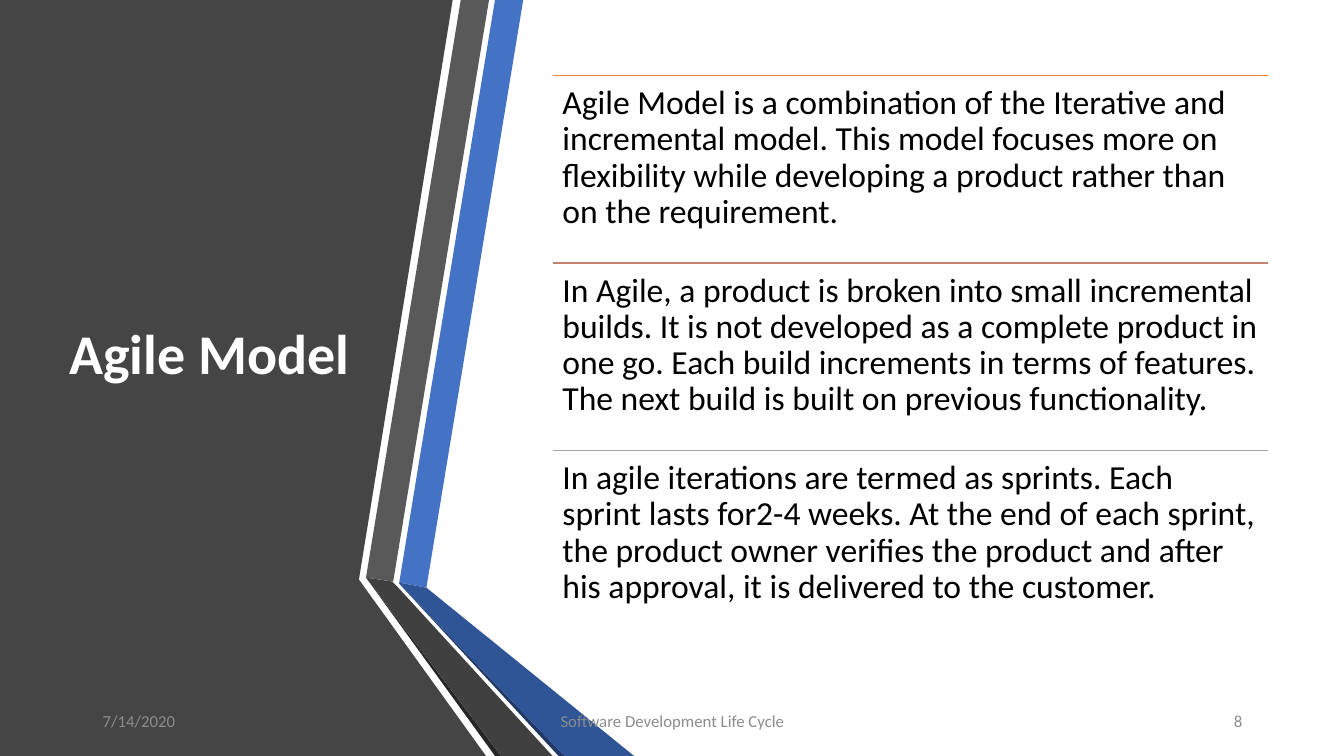
from lxml import etree
from pptx import Presentation
from pptx.dml.color import RGBColor
from pptx.enum.text import MSO_ANCHOR, MSO_AUTO_SIZE, PP_ALIGN
from pptx.oxml.ns import qn
from pptx.util import Inches, Pt

TOP, MIDDLE = MSO_ANCHOR.TOP, MSO_ANCHOR.MIDDLE
LEFT, CENTER, RIGHT = PP_ALIGN.LEFT, PP_ALIGN.CENTER, PP_ALIGN.RIGHT
FIXED = MSO_AUTO_SIZE.NONE
TITLE_ONLY = 5

COLORS = {
    "panel": "454545", "blue": "4472C4", "gray": "595959",
    "black": "262626", "navy": "203864", "deep": "2F5597",
    "dark": "404040", "white": "FFFFFF", "text": "000000",
    "foot": "8C8C8C", "orange": "ED7D31", "rose": "C48170",
    "silver": "A5A5A5",
}

BANDS = [
    ("panel", [(0, 0), (4.49, 0), (3.56, 5.75), (4.82, 7.5), (0, 7.5)]),
    ("blue", [(3.96, 5.78), (4.23, 5.83), (5.19, 0), (4.91, 0)]),
    ("gray", [(4.85, 0), (4.57, 0), (3.63, 5.73), (3.9, 5.77)]),
    ("black", [(3.63, 5.73), (4.91, 7.5), (4.97, 7.5)]),
    ("navy", [(3.96, 5.79), (5.54, 7.5), (5.6, 7.5)]),
    ("deep", [(3.96, 5.79), (5.6, 7.5), (6.29, 7.5), (4.23, 5.83),
              (3.96, 5.78)]),
    ("dark", [(5.48, 7.5), (3.95, 5.83), (3.89, 5.77), (3.63, 5.73),
              (4.97, 7.5)]),
]

POINTS = [
    ("orange", "Agile Model is a combination of the Iterative and incremental "
     "model. This model focuses more on flexibility while developing a product "
     "rather than on the requirement."),
    ("rose", "In Agile, a product is broken into small incremental builds. It "
     "is not developed as a complete product in one go. Each build increments "
     "in terms of features. The next build is built on previous functionality."),
    ("silver", "In agile iterations are termed as sprints. Each sprint lasts "
     "for2-4 weeks. At the end of each sprint, the product owner verifies the "
     "product and after his approval, it is delivered to the customer."),
]

FOOTER = [
    ("7/14/2020", 0.92, 3, LEFT),
    ("Software Development Life Cycle", 4.42, 4.5, CENTER),
    ("8", 9.42, 3, RIGHT),
]


def rgb(name):
    return RGBColor.from_string(COLORS[name])


def apply(target, values):
    for key, value in values.items():
        setattr(target, key, value)


def place(shape, left, top, width, height):
    apply(shape, {"left": Inches(left), "top": Inches(top),
                  "width": Inches(width), "height": Inches(height)})


def write(shape, text, size, color, anchor=MIDDLE, align=LEFT, bold=False,
          frame={}, para={}):
    body = shape.text_frame
    apply(body, {"word_wrap": True, "auto_size": FIXED,
                 "vertical_anchor": anchor, **frame})
    line = body.paragraphs[0]
    apply(line, {"alignment": align, **para})
    run = line.add_run()
    run.text = text
    apply(run.font, {"name": "Calibri", "size": Pt(size), "bold": bold})
    run.font.color.rgb = rgb(color)


def add_text(slide, box, text, size, color, **style):
    shape = slide.shapes.add_textbox(*map(Inches, box))
    write(shape, text, size, color, **style)


def add_band(slide, color, points):
    start, *rest = [(Inches(x), Inches(y)) for x, y in points]
    maker = slide.shapes.build_freeform(*start)
    maker.add_line_segments(rest, close=True)
    shape = maker.convert_to_shape()
    shape.shadow.inherit = False
    shape.fill.solid()
    shape.fill.fore_color.rgb = rgb(color)
    shape.line.fill.background()


def add_rule(slide, left, top, width, color):
    rule = slide.shapes.add_connector(
        1, Inches(left), Inches(top), Inches(left + width), Inches(top))
    rule.line.color.rgb = rgb(color)
    rule.line.width = Pt(1)
    etree.SubElement(rule.element.spPr, qn("a:effectLst"))


def add_title(slide, text):
    title = slide.shapes.title
    title.element.getparent().append(title.element)
    place(title, 0.59, 0.75, 3.04, 5.58)
    write(title, text, 40, "white", bold=True, para={"line_spacing": 0.9})


def add_points(slide):
    left, top, width, step = 5.48, 0.75, 7.1, 1.86
    sides = ("left", "top", "right", "bottom")
    frame = {f"margin_{side}": Inches(0.1) for side in sides}
    for row, (color, text) in enumerate(POINTS):
        y = top + row * step
        add_rule(slide, left, y, width, color)
        add_text(slide, (left, y, width, step), text, 24, "text", anchor=TOP,
                 frame=frame, para={"line_spacing": 0.9})


def main():
    deck = Presentation()
    apply(deck, {"slide_width": Inches(13.33), "slide_height": Inches(7.5)})
    slide = deck.slides.add_slide(deck.slide_layouts[TITLE_ONLY])
    for color, points in BANDS:
        add_band(slide, color, points)
    add_title(slide, "Agile Model")
    add_points(slide)
    for text, left, width, align in FOOTER:
        add_text(slide, (left, 6.95, width, 0.4), text, 12, "foot", align=align)
    deck.save("out.pptx")


if __name__ == "__main__":
    main()
